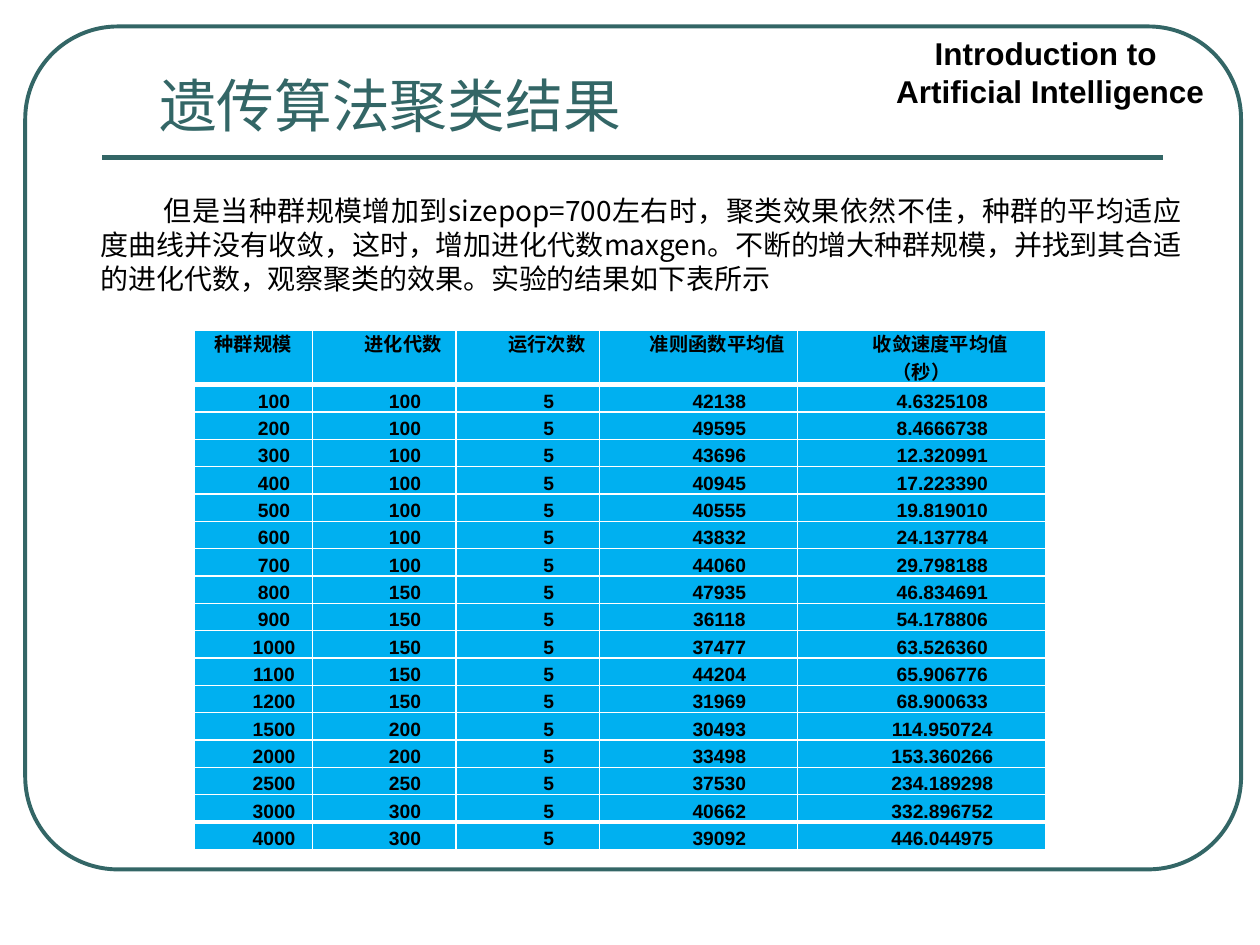
"""Build the slide on clustering results of the genetic algorithm."""
from dataclasses import dataclass
from typing import NamedTuple

from lxml import etree
from pptx import Presentation
from pptx.dml.color import RGBColor
from pptx.enum.shapes import MSO_CONNECTOR, MSO_SHAPE
from pptx.enum.text import MSO_ANCHOR, MSO_AUTO_SIZE, PP_ALIGN
from pptx.oxml.ns import qn
from pptx.util import Inches, Pt

ROUNDED = MSO_SHAPE.ROUNDED_RECTANGLE
STRAIGHT = MSO_CONNECTOR.STRAIGHT
LEFT, CENTER, JUSTIFY = PP_ALIGN.LEFT, PP_ALIGN.CENTER, PP_ALIGN.JUSTIFY
TOP = MSO_ANCHOR.TOP
NO_FIT, GROW = MSO_AUTO_SIZE.NONE, MSO_AUTO_SIZE.SHAPE_TO_FIT_TEXT


@dataclass(frozen=True)
class Theme:
    """Colours, fonts and type sizes of the slide."""
    accent: RGBColor = RGBColor(0x33, 0x66, 0x66)
    ink: RGBColor = RGBColor(0, 0, 0)
    cell: RGBColor = RGBColor(0x00, 0xB0, 0xF0)
    grid: str = "FFFFFF"
    latin: str = "Arial"
    chinese: str = "Noto Sans CJK SC"
    title_size: float = 33
    course_size: float = 18
    body_size: float = 16
    table_size: float = 11


class Experiment(NamedTuple):
    """One table row: population, generations, criterion mean and seconds."""
    population: int
    generations: int
    criterion: int
    seconds: str


THEME = Theme()
RUNS_EACH = 5
HEADERS = ["种群规模", "进化代数", "运行次数", "准则函数平均值", "收敛速度平均值（秒）"]
COLUMN_WIDTHS = [0.94, 1.14, 1.14, 1.57, 1.97]
HEADER_HEIGHT, ROW_HEIGHT = 0.28, 0.21
HEADER_INDENT, DATA_INDENT = 0.3, 0.33
EXPERIMENTS = [
    Experiment(100, 100, 42138, "4.6325108"),
    Experiment(200, 100, 49595, "8.4666738"),
    Experiment(300, 100, 43696, "12.320991"),
    Experiment(400, 100, 40945, "17.223390"),
    Experiment(500, 100, 40555, "19.819010"),
    Experiment(600, 100, 43832, "24.137784"),
    Experiment(700, 100, 44060, "29.798188"),
    Experiment(800, 150, 47935, "46.834691"),
    Experiment(900, 150, 36118, "54.178806"),
    Experiment(1000, 150, 37477, "63.526360"),
    Experiment(1100, 150, 44204, "65.906776"),
    Experiment(1200, 150, 31969, "68.900633"),
    Experiment(1500, 200, 30493, "114.950724"),
    Experiment(2000, 200, 33498, "153.360266"),
    Experiment(2500, 250, 37530, "234.189298"),
    Experiment(3000, 300, 40662, "332.896752"),
    Experiment(4000, 300, 39092, "446.044975"),
]
EXPLANATION = (
    "但是当种群规模增加到sizepop=700左右时，聚类效果依然不佳，"
    "种群的平均适应度曲线并没有收敛，这时，增加进化代数maxgen。"
    "不断的增大种群规模，并找到其合适的进化代数，观察聚类的效果。"
    "实验的结果如下表所示"
)


def write(frame, *lines: str, size: float, font: str = THEME.latin,
          color: RGBColor = THEME.ink, bold: bool = False, align=LEFT,
          indent: float = 0, spacing=None) -> None:
    """Write lines as formatted paragraphs of a text frame."""
    for index, line in enumerate(lines):
        paragraph = frame.add_paragraph() if index else frame.paragraphs[0]
        paragraph.alignment = align
        if spacing:
            paragraph.line_spacing = spacing
        if indent:
            properties = paragraph._p.get_or_add_pPr()
            properties.set("marL", "0")
            properties.set("indent", str(Inches(indent)))
        run = paragraph.add_run()
        run.text = line
        run.font.name = font
        run.font.size = Pt(size)
        run.font.bold = bold
        run.font.color.rgb = color


def add_text_box(slide, left: float, top: float, width: float, height: float,
                 wrap: bool):
    """Add a text box that grows with its text and return its frame."""
    box = slide.shapes.add_textbox(Inches(left), Inches(top), Inches(width), Inches(height))
    box.text_frame.word_wrap = wrap
    box.text_frame.auto_size = GROW
    return box.text_frame


def set_borders(cell, top: float, bottom: float) -> None:
    """Draw the cell borders, with the given top and bottom widths in points."""
    properties = cell._tc.get_or_add_tcPr()
    widths = {"a:lnL": 1, "a:lnR": 1, "a:lnT": top, "a:lnB": bottom}
    for position, (tag, width) in enumerate(widths.items()):
        line = etree.Element(qn(tag), w=str(Pt(width)))
        fill = etree.SubElement(line, qn("a:solidFill"))
        etree.SubElement(fill, qn("a:srgbClr"), val=THEME.grid)
        properties.insert(position, line)


def add_backdrop(slide) -> None:
    """Draw the rounded frame, the rule below the title and the course name."""
    frame = slide.shapes.add_shape(ROUNDED, Inches(0.2), Inches(0.21), Inches(9.65), Inches(6.69))
    frame.adjustments[0] = 0.11
    frame.shadow.inherit = False
    frame.fill.background()
    frame.line.color.rgb = THEME.accent
    frame.line.width = Pt(2.25)
    rule = slide.shapes.add_connector(
        STRAIGHT, Inches(0.81), Inches(1.25), Inches(9.23), Inches(1.25))
    rule.line.color.rgb = THEME.accent
    rule.line.width = Pt(3)
    etree.SubElement(rule._element.spPr, qn("a:effectLst"))
    write(add_text_box(slide, 7, 0.22, 2.67, 0.71, wrap=False),
          "Introduction to ", "Artificial Intelligence",
          size=THEME.course_size, bold=True, align=CENTER)


def add_title(slide, text: str) -> None:
    """Place and fill the title placeholder."""
    title = slide.shapes.title
    title.left, title.top = Inches(1.06), Inches(0.5)
    title.width, title.height = Inches(8.42), Inches(0.79)
    title.text_frame.auto_size = NO_FIT
    title.text_frame.vertical_anchor = TOP
    write(title.text_frame, text, size=THEME.title_size, color=THEME.accent)


def add_results(slide) -> None:
    """Add the table of experiments."""
    rows = [HEADERS] + [
        [str(item.population), str(item.generations), str(RUNS_EACH),
         str(item.criterion), item.seconds] for item in EXPERIMENTS]
    last = len(rows) - 1
    table = slide.shapes.add_table(
        len(rows), len(HEADERS), Inches(1.54), Inches(2.62),
        Inches(sum(COLUMN_WIDTHS)), Inches(HEADER_HEIGHT + ROW_HEIGHT * last)).table
    table.horz_banding = False
    for column, width in zip(table.columns, COLUMN_WIDTHS):
        column.width = Inches(width)
    for r, values in enumerate(rows):
        table.rows[r].height = Inches(ROW_HEIGHT if r else HEADER_HEIGHT)
        for c, value in enumerate(values):
            cell = table.cell(r, c)
            cell.margin_left = cell.margin_right = Inches(0.07)
            cell.margin_top = cell.margin_bottom = 0
            cell.fill.solid()
            cell.fill.fore_color.rgb = THEME.cell
            set_borders(cell, top=3 if r in (1, last) else 1,
                        bottom=3 if r in (0, last - 1) else 1)
            header_indent = HEADER_INDENT if c else 0
            write(cell.text_frame, value, size=THEME.table_size, bold=True, align=CENTER,
                  indent=DATA_INDENT if r else header_indent, spacing=Pt(15.6))


def main() -> None:
    """Build and save the presentation."""
    presentation = Presentation()
    presentation.slide_width, presentation.slide_height = Inches(10), Inches(7.5)
    slide = presentation.slides.add_slide(presentation.slide_layouts[5])
    add_backdrop(slide)
    write(add_text_box(slide, 0.7, 1.49, 8.78, 0.91, wrap=True), EXPLANATION,
          size=THEME.body_size, font=THEME.chinese, align=JUSTIFY, indent=0.5)
    add_results(slide)
    add_title(slide, " 遗传算法聚类结果")
    presentation.save("out.pptx")


if __name__ == "__main__":
    main()
